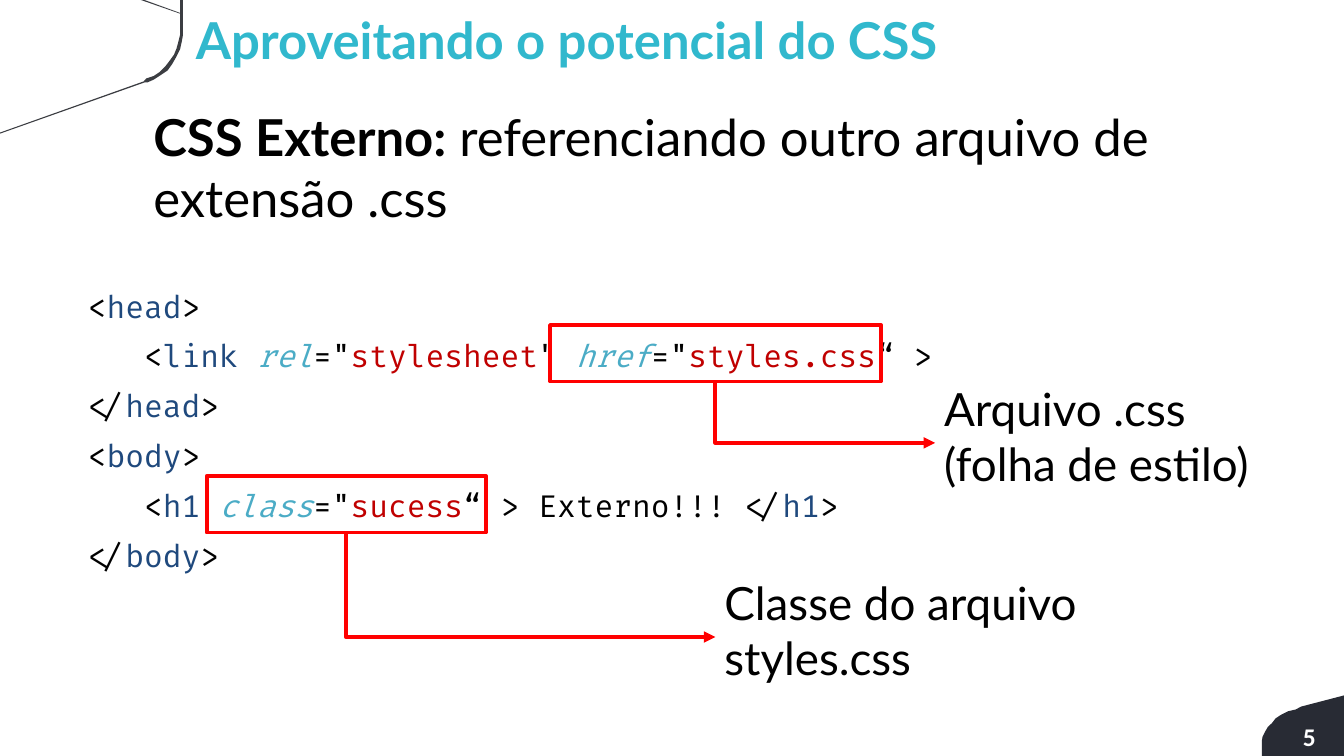
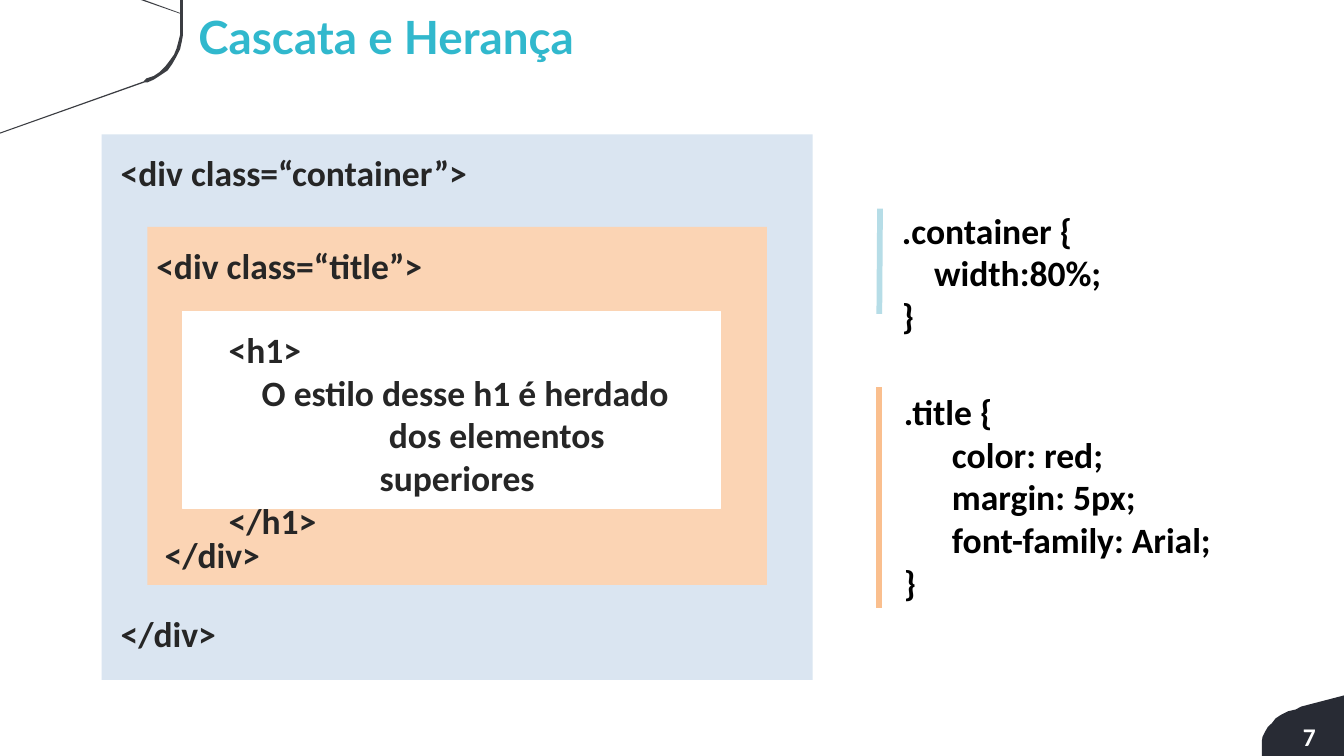
"""Build two lesson slides about external CSS and inheritance."""
from dataclasses import dataclass
from typing import NamedTuple

from lxml.etree import SubElement
from pptx import Presentation
from pptx.dml.color import RGBColor
from pptx.enum.shapes import MSO_CONNECTOR as CONN, MSO_SHAPE as SHAPE
from pptx.enum.text import PP_ALIGN as ALIGN
from pptx.oxml.ns import qn
from pptx.util import Cm, Pt

BLACK, INK, WHITE, RED = "000000", "262626", "FFFFFF", "FF0000"
TITLE, TAG, ATTR, VALUE = "31B8CD", "1F497D", "4BACC6", "C00000"
CORNER = [(37.31, 20.98), (35.03, 20.98), (35.03, 20.57), (35.05, 20.45),
          (35.13, 20.29), (35.2, 20.17), (35.31, 20.07), (35.41, 19.94),
          (35.56, 19.84), (35.76, 19.74), (35.97, 19.69), (36.12, 19.61),
          (37.31, 19.3)]
SWIRL = [(0, 3.71), (0, 3.68), (3.99, 2.26), (4.06, 2.18), (4.27, 2.11),
         (4.42, 2.01), (4.6, 1.83), (4.7, 1.7), (4.83, 1.52), (4.9, 1.35),
         (4.95, 1.17), (5, 0.97), (5, 0.38), (3.91, 0), (4.01, 0),
         (5, 0.36), (5, 0), (5.08, 0), (5.08, 0.97), (5.05, 1.14),
         (5, 1.37), (4.9, 1.57), (4.78, 1.78), (4.65, 1.96), (4.47, 2.08),
         (4.27, 2.21), (4.09, 2.29), (4.01, 2.29)]


class Box(NamedTuple):
    x: float
    y: float
    w: float
    h: float


class Run(NamedTuple):
    text: str
    color: str | None = None
    bold: bool | None = None
    italic: bool = False


@dataclass
class Para:
    runs: list[Run]
    align: ALIGN | None = None
    indent: float = 0


@dataclass
class Style:
    font: str
    size: int
    color: str = BLACK
    bold: bool = False
    spacing: float | None = None
    inset: tuple[float, float] = (0.25, 0.13)


HEADING = Style("Lato", 40, TITLE, True, inset=(0, 0))
SUBHEADING = Style("Lato", 36, TITLE, True, inset=(0, 0))
LEAD = Style("Lato", 40)
LABEL = Style("Lato", 36)
CODE = Style("Fira Code", 24, spacing=1.36, inset=(0, 0))
MARKUP = Style("Calibri", 28, INK, True)
RULES = Style("Calibri", 28, BLACK, True)
NUMBER = Style("Calibri", 20, WHITE, True)


def rgb(color: str) -> RGBColor:
    return RGBColor.from_string(color)


def plain(*lines: str) -> list[Para]:
    return [Para([Run(line)]) for line in lines]


def add_text(s, box: Box, style: Style, paras: list[Para]) -> None:
    tf = s.shapes.add_textbox(*map(Cm, box)).text_frame
    tf.word_wrap = True
    tf.margin_left = tf.margin_right = Cm(style.inset[0])
    tf.margin_top = tf.margin_bottom = Cm(style.inset[1])
    for i, para in enumerate(paras):
        p = tf.add_paragraph() if i else tf.paragraphs[0]
        p.alignment = para.align
        if style.spacing:
            p.line_spacing = style.spacing
        if para.indent:
            p._p.get_or_add_pPr().set("marL", str(Cm(para.indent)))
        for run in para.runs:
            r = p.add_run()
            r.text = run.text
            f = r.font
            f.name, f.size, f.italic = style.font, Pt(style.size), run.italic
            f.bold = style.bold if run.bold is None else run.bold
            f.color.rgb = rgb(run.color or style.color)


def paint(sp, fill: str | None, line: str | None = None, width: float = 0.75) -> None:
    sp.shadow.inherit = False
    if fill:
        sp.fill.solid()
        sp.fill.fore_color.rgb = rgb(fill)
    else:
        sp.fill.background()
    if line:
        sp.line.color.rgb = rgb(line)
        sp.line.width = Pt(width)
    else:
        sp.line.fill.background()


def add_rect(s, box: Box, fill: str | None, line: str | None = None, width: float = 0.75) -> None:
    paint(s.shapes.add_shape(SHAPE.RECTANGLE, *map(Cm, box)), fill, line, width)


def add_outline(s, points: list[tuple[float, float]], fill: str) -> None:
    start, *rest = [(Cm(x), Cm(y)) for x, y in points]
    builder = s.shapes.build_freeform(*start)
    builder.add_line_segments(rest, close=True)
    paint(builder.convert_to_shape(), fill)


def add_line(s, kind: CONN, ends: tuple[float, ...], color: str, width: float):
    c = s.shapes.add_connector(kind, *map(Cm, ends))
    c.line.color.rgb = rgb(color)
    c.line.width = Pt(width)
    SubElement(c._element.spPr, qn("a:effectLst"))
    return c


def add_bent_arrow(s, x1: float, y1: float, x2: float, y2: float) -> None:
    cx, cy, dx, dy = (x1 + x2) / 2, (y1 + y2) / 2, (x2 - x1) / 2, (y2 - y1) / 2
    c = add_line(s, CONN.ELBOW, (cx + dy, cy - dx, cx - dy, cy + dx), RED, 3)
    pr = c._element.spPr
    pr.find(qn("a:xfrm")).set("rot", "16200000")
    pr.find(qn("a:prstGeom")).set("prst", "bentConnector2")
    SubElement(pr.find(qn("a:ln")), qn("a:tailEnd")).set("type", "triangle")


def new_slide(prs, number: int, title: str, box: Box, style: Style):
    s = prs.slides.add_slide(prs.slide_layouts[6])
    add_outline(s, CORNER, "282B34")
    add_outline(s, SWIRL, "3B3D42")
    add_text(s, box, style, plain(title))
    add_text(s, Box(35.92, 19.89, 0.97, 1.12), NUMBER, plain(str(number)))
    return s


def tag_line(opening: str, name: str) -> Para:
    return Para([Run(opening), Run(name, TAG), Run(">")])


def attribute(name: str, value: str) -> list[Run]:
    return [Run(name, ATTR, italic=True), Run('="'), Run(value, VALUE)]


def external_css(prs) -> None:
    s = new_slide(prs, 5, "Aproveitando o potencial do CSS", Box(5.44, 0.23, 27.89, 1.75), HEADING)
    add_text(s, Box(2.44, 7.62, 23.52, 11.71), CODE, [
        tag_line("<", "head"),
        Para([Run("   <"), Run("link ", TAG), *attribute("rel", "stylesheet"), Run('" '),
              *attribute("href", "styles.css"), Run("“ >")]),
        tag_line("</", "head"),
        tag_line("<", "body"),
        Para([Run("   <"), Run("h1 ", TAG), *attribute("class", "sucess"),
              Run("“ > Externo!!! </"), Run("h1", TAG), Run(">")]),
        tag_line("</", "body"),
    ])
    add_text(s, Box(4.01, 2.79, 30.71, 3.71), LEAD, [
        Para([Run("CSS Externo:", bold=True),
              Run(" referenciando outro arquivo de extensão .css")])])
    for box in (Box(15.27, 9.02, 9.19, 1.57), Box(5.74, 13.21, 7.75, 1.57)):
        add_rect(s, box, None, RED, 3)
    add_bent_arrow(s, 19.86, 10.59, 25.96, 12.29)
    add_bent_arrow(s, 9.6, 14.78, 19.86, 17.68)
    add_text(s, Box(25.96, 10.44, 11.3, 3.71), LABEL, plain("Arquivo .css", "(folha de estilo)"))
    add_text(s, Box(19.86, 15.82, 11.89, 3.71), LABEL, plain("Classe do arquivo styles.css"))


def inheritance(prs) -> None:
    s = new_slide(prs, 7, "Cascata e Herança", Box(5.51, 0.23, 21, 1.57), SUBHEADING)
    add_rect(s, Box(2.82, 3.73, 19.74, 15.14), "DAE5F1")
    add_rect(s, Box(4.09, 6.3, 17.2, 9.93), "FBD4B4")
    add_rect(s, Box(5.08, 8.64, 14.91, 5.46), WHITE, WHITE)
    for x, y, text in ((3.1, 4.06, "<div class=“container”>"), (4.09, 6.63, "<div class=“title”>"),
                       (4.32, 14.66, "</div>"), (3.1, 16.84, "</div>")):
        add_text(s, Box(x, y, 15.7, 1.45), MARKUP, plain(text))
    add_text(s, Box(6.1, 8.97, 13.18, 5.08), MARKUP, [
        Para([Run("<h1>")]),
        Para([Run("O estilo desse h1 é herdado")], ALIGN.CENTER, 0.44),
        Para([Run("dos elementos")], ALIGN.CENTER, 2.2),
        Para([Run("superiores")], ALIGN.CENTER),
        Para([Run("</h1>")]),
    ])
    add_text(s, Box(24.79, 5.66, 9.96, 3.84), RULES, plain(".container {", "    width:80%;", "}"))
    add_text(s, Box(24.84, 10.69, 9.73, 6.2), RULES, plain(
        ".title {", "      color: red;", "      margin: 5px;", "      font-family: Arial;", "}"))
    add_line(s, CONN.STRAIGHT, (24.43, 5.79, 24.41, 8.71), "B6DDE7", 4.5)
    add_line(s, CONN.STRAIGHT, (24.41, 10.74, 24.41, 16.87), "FABF8E", 4.5)


def main() -> None:
    prs = Presentation()
    prs.slide_width, prs.slide_height = Cm(37.31), Cm(20.98)
    external_css(prs)
    inheritance(prs)
    prs.save("out.pptx")


if __name__ == "__main__":
    main()
